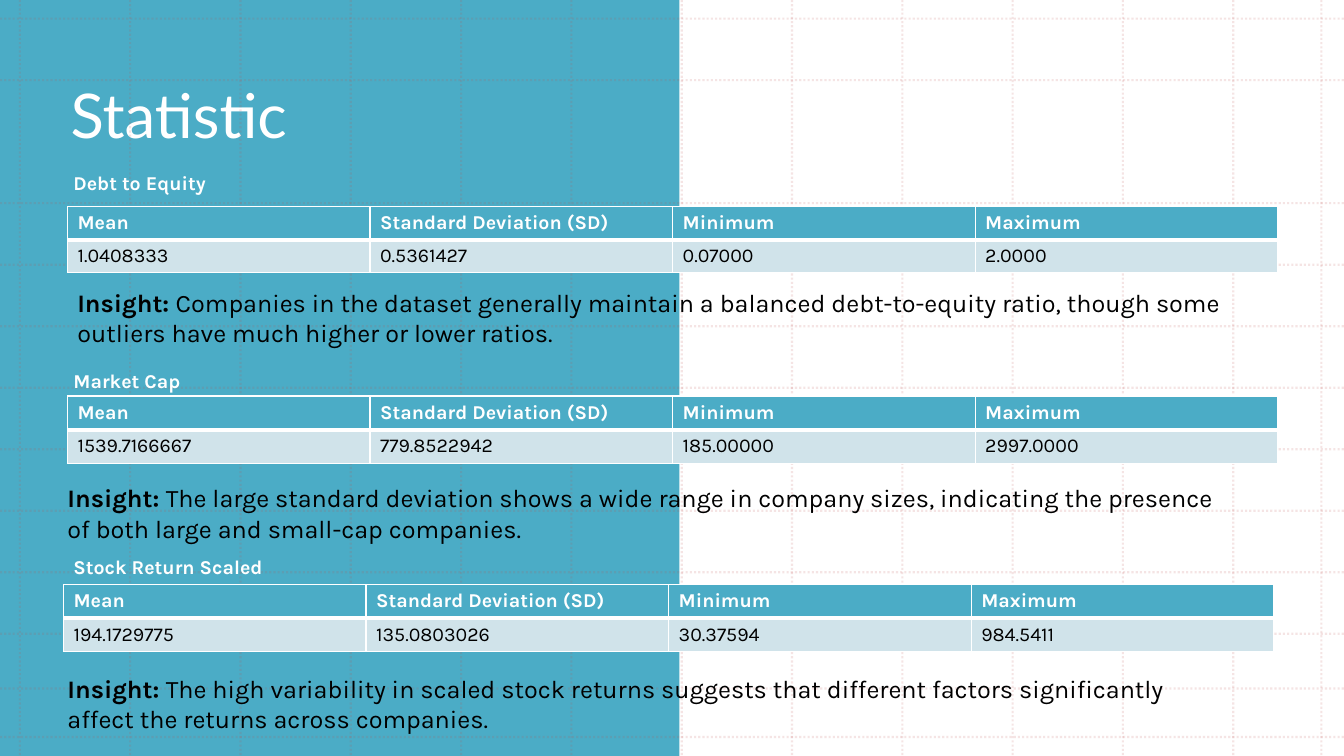
from dataclasses import dataclass

from lxml.etree import SubElement
from pptx import Presentation
from pptx.dml.color import RGBColor
from pptx.enum.dml import MSO_LINE
from pptx.enum.shapes import MSO_CONNECTOR, MSO_SHAPE
from pptx.enum.text import MSO_ANCHOR, PP_ALIGN
from pptx.oxml import parse_xml
from pptx.oxml.ns import nsdecls, qn
from pptx.util import Cm, Pt


@dataclass(frozen=True)
class Theme:
    accent: str = "4BACC6"
    band: str = "D0E3EA"
    grid: str = "C0504D"
    white: str = "FFFFFF"
    black: str = "000000"
    title_font: str = "Lato"
    body_font: str = "Karla"
    title_size: int = 44
    table_size: int = 14
    insight_size: int = 18


@dataclass(frozen=True)
class Box:
    left: float
    top: float
    width: float
    height: float

    def emu(self) -> tuple:
        return Cm(self.left), Cm(self.top), Cm(self.width), Cm(self.height)


@dataclass(frozen=True)
class Section:
    name: str
    values: tuple
    insight: str
    label_box: Box
    table_box: Box
    insight_box: Box


THEME = Theme()
WIDTH, HEIGHT = 33.87, 19.05
HEADERS = ("Mean", "Standard Deviation (SD)", "Minimum", "Maximum")
SECTIONS = (
    Section(
        "Debt to Equity", ("1.0408333", "0.5361427", "0.07000", "2.0000"),
        "Companies in the dataset generally maintain a balanced debt-to-equity "
        "ratio, though some outliers have much higher or lower ratios.",
        Box(1.6, 4.19, 3.99, 0.86), Box(1.7, 5.21, 30.5, 1.66), Box(1.7, 7.11, 29.62, 1.8),
    ),
    Section(
        "Market Cap", ("1539.7166667", "779.8522942", "185.00000", "2997.0000"),
        "The large standard deviation shows a wide range in company sizes, "
        "indicating the presence of both large and small-cap companies.",
        Box(1.6, 9.17, 3.3, 0.86), Box(1.7, 9.98, 30.5, 1.66), Box(1.45, 12.04, 29.62, 1.8),
    ),
    Section(
        "Stock Return Scaled", ("194.1729775", "135.0803026", "30.37594", "984.5411"),
        "The high variability in scaled stock returns suggests that different "
        "factors significantly affect the returns across companies.",
        Box(1.6, 13.87, 5.56, 0.86), Box(1.6, 14.73, 30.5, 1.66), Box(1.45, 16.84, 29.62, 1.8),
    ),
)


def style_run(r, size: int, color: str, bold: bool = False, font: str = THEME.body_font) -> None:
    r.font.name = font
    r.font.size = Pt(size)
    r.font.bold = bold
    r.font.color.rgb = RGBColor.from_string(color)


def add_panel(slide, title: str) -> None:
    sp = slide.shapes.add_shape(MSO_SHAPE.RECTANGLE, *Box(0, 0, 17.12, HEIGHT).emu())
    sp.shadow.inherit = False
    sp.fill.solid()
    sp.fill.fore_color.rgb = RGBColor.from_string(THEME.accent)
    sp.line.fill.background()
    tf = sp.text_frame
    tf.word_wrap = True
    tf.vertical_anchor = MSO_ANCHOR.TOP
    tf.margin_left, tf.margin_top = Cm(1.78), Cm(2.16)
    tf.text = title
    p = tf.paragraphs[0]
    p.alignment = PP_ALIGN.LEFT
    p.line_spacing = 0.9
    style_run(p.runs[0], THEME.title_size, THEME.white, font=THEME.title_font)


def add_grid_line(slide, x1: float, y1: float, x2: float, y2: float) -> None:
    ln = slide.shapes.add_connector(MSO_CONNECTOR.STRAIGHT, Cm(x1), Cm(y1), Cm(x2), Cm(y2))
    ln.line.width = Pt(1.5)
    ln.line.dash_style = MSO_LINE.ROUND_DOT
    ln.line.color.rgb = RGBColor.from_string(THEME.grid)
    # 15 % opacity, no shadow
    sp_pr = ln._element.spPr
    SubElement(next(sp_pr.iter(qn("a:srgbClr"))), qn("a:alpha"), val="15000")
    SubElement(sp_pr, qn("a:effectLst"))


def add_grid(slide) -> None:
    for x in [0.5 + 2.78 * i for i in range(12)] + [33.3]:
        add_grid_line(slide, x, 0, x, HEIGHT)
    # The third row line is left out beside the title
    for y in [0.47 + 1.55 * i for i in range(11) if i != 2] + [17.35, 18.57]:
        add_grid_line(slide, 0, y, WIDTH, y)


def set_borders(cell, top: float, bottom: float) -> None:
    tc_pr = cell._tc.get_or_add_tcPr()
    for i, (side, width) in enumerate((("L", 1), ("R", 1), ("T", top), ("B", bottom))):
        tc_pr.insert(i, parse_xml(
            f'<a:ln{side} {nsdecls("a")} w="{Pt(width)}"><a:solidFill>'
            f'<a:srgbClr val="{THEME.white}"/></a:solidFill></a:ln{side}>'))


def add_stats_table(slide, box: Box, values: tuple) -> None:
    table = slide.shapes.add_table(2, len(HEADERS), *box.emu()).table
    for i, row in enumerate((HEADERS, values)):
        header = i == 0
        for j, text in enumerate(row):
            cell = table.cell(i, j)
            cell.text_frame.text = text
            style_run(cell.text_frame.paragraphs[0].runs[0], THEME.table_size,
                      THEME.white if header else THEME.black, header)
            cell.fill.solid()
            cell.fill.fore_color.rgb = RGBColor.from_string(
                THEME.accent if header else THEME.band)
            set_borders(cell, 1 if header else 3, 3 if header else 1)


def add_text(slide, box: Box, size: int, color: str, lead: str, rest: str = "") -> None:
    tf = slide.shapes.add_textbox(*box.emu()).text_frame
    tf.word_wrap = True
    tf.text = lead
    p = tf.paragraphs[0]
    style_run(p.runs[0], size, color, True)
    if rest:
        r = p.add_run()
        r.text = rest
        style_run(r, size, color)


def main() -> None:
    prs = Presentation()
    prs.slide_width, prs.slide_height = Cm(WIDTH), Cm(HEIGHT)
    s = prs.slides.add_slide(prs.slide_layouts[6])

    # Background panel with title, then the dotted grid
    add_panel(s, "Statistic")
    add_grid(s)

    # One label, table and insight per measure
    for section in SECTIONS:
        add_stats_table(s, section.table_box, section.values)
        add_text(s, section.label_box, THEME.table_size, THEME.white, section.name)
        add_text(s, section.insight_box, THEME.insight_size, THEME.black,
                 "Insight: ", section.insight)

    prs.save("out.pptx")


if __name__ == "__main__":
    main()
